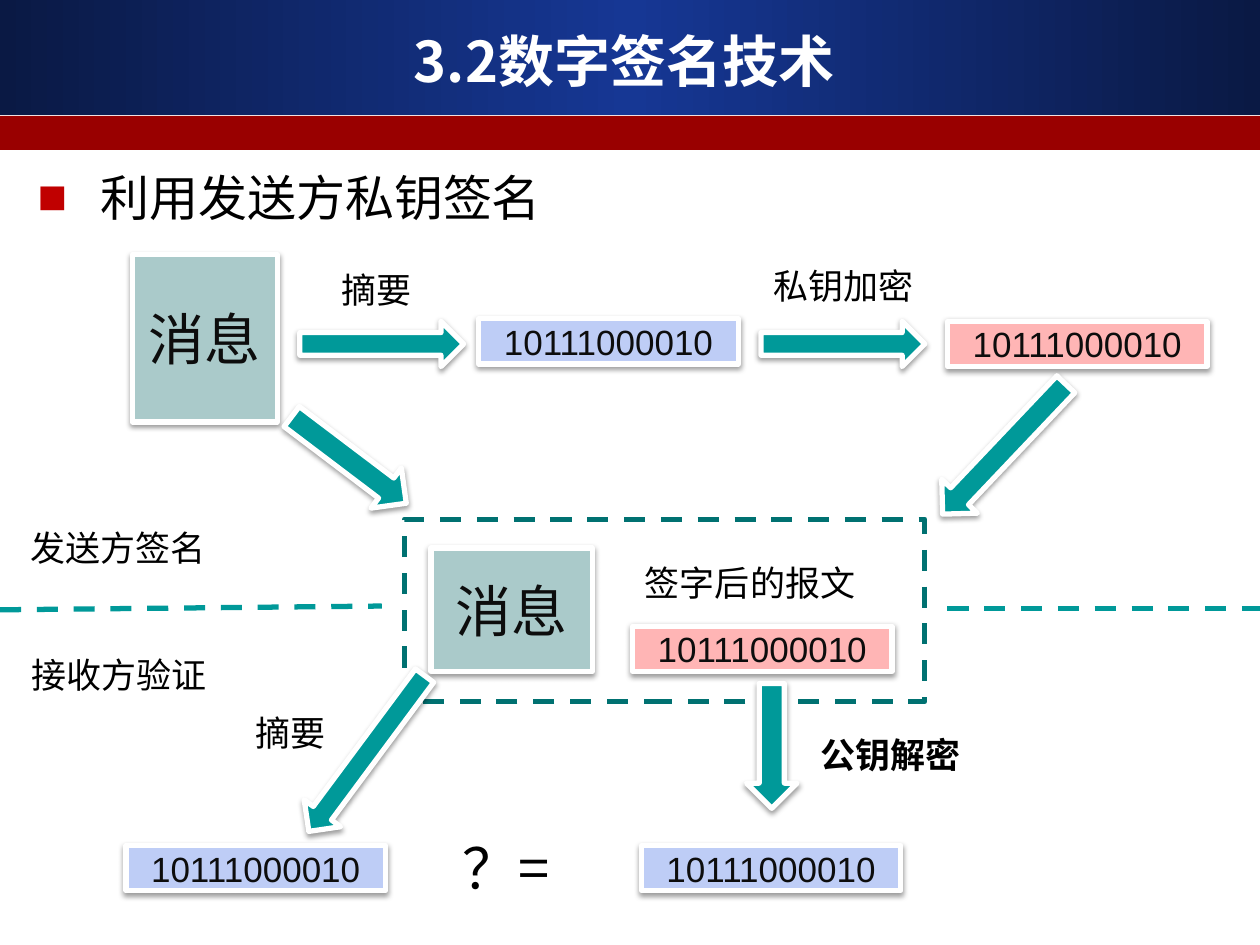
import copy
import pptx
import pptx.util
import pptx.dml.color
import pptx.enum.dml
import pptx.enum.shapes
import pptx.enum.text
import pptx.oxml
import pptx.oxml.ns

SHAPE = pptx.enum.shapes.MSO_SHAPE
ANCHOR = pptx.enum.text.MSO_ANCHOR
ALIGN = pptx.enum.text.PP_ALIGN
NS = pptx.oxml.ns.nsdecls("a")
HAN = "Noto Sans CJK SC"
CODE = "10111000010"

# Colours
TEAL, DEEP, PALE = "009999", "007171", "AACACA"
BLUE, PINK, WHITE = "BECDF6", "FFB5B5", "FFFFFF"

# Grid: 100 columns by 75 rows of square cells
WIDE, HIGH = 10, 7.5
COLS = 100
BAR_W, BAR_H = 20.6, 3.6


def cell(num):
    return pptx.util.Inches(num * WIDE / COLS)


def tint(code):
    return pptx.dml.color.RGBColor.from_string(code)


def write(shape, text, size=20, font=HAN, color="000000", bold=False,
          align=ALIGN.LEFT, anchor=ANCHOR.TOP, mark=None):
    frame = shape.text_frame
    frame.word_wrap = True
    frame.vertical_anchor = anchor
    para = frame.paragraphs[0]
    para.alignment = align
    if mark:
        props = para._p.get_or_add_pPr()
        indent = pptx.util.Inches(0.5)
        props.set("marL", str(indent))
        props.set("indent", str(-indent))
        for item in (f'<a:buClr {NS}><a:srgbClr val="{mark}"/></a:buClr>',
                     f'<a:buFont {NS} typeface="Arial"/>',
                     f'<a:buChar {NS} char="■"/>'):
            props.append(pptx.oxml.parse_xml(item))
    run = para.add_run()
    run.text = text
    run.font.size = pptx.util.Pt(size)
    run.font.name = font
    run.font.bold = bold
    run.font.color.rgb = tint(color)
    run.font._element.find(pptx.oxml.ns.qn("a:latin")).addnext(
        pptx.oxml.parse_xml(f'<a:ea {NS} typeface="{HAN}"/>'))


def label(slide, text, left, top, width, height=4.4, **style):
    box = slide.shapes.add_textbox(
        cell(left), cell(top), cell(width), cell(height))
    write(box, text, **style)
    box.text_frame.auto_size = pptx.enum.text.MSO_AUTO_SIZE.SHAPE_TO_FIT_TEXT


def stroke(line, color, dash=False):
    line.color.rgb = tint(color)
    line.width = pptx.util.Pt(3)
    if dash:
        line.dash_style = pptx.enum.dml.MSO_LINE.DASH


def block(slide, kind, left, top, width, height, fill=None):
    shape = slide.shapes.add_shape(
        kind, cell(left), cell(top), cell(width), cell(height))
    shape.shadow.inherit = False
    if fill:
        shape.fill.solid()
        shape.fill.fore_color.rgb = tint(fill)
    else:
        shape.fill.background()
    shape.line.fill.background()
    return shape


def card(slide, kind, left, top, width, height, fill):
    """Block with a white rim and a soft shadow."""
    shape = block(slide, kind, left, top, width, height, fill)
    stroke(shape.line, WHITE)
    blur, dist = pptx.util.Pt(3.1), pptx.util.Pt(1.6)
    shape._element.spPr.find(pptx.oxml.ns.qn("a:effectLst")).append(
        pptx.oxml.parse_xml(
            f'<a:outerShdw {NS} blurRad="{blur}" dist="{dist}" dir="5400000"'
            ' rotWithShape="0"><a:srgbClr val="000000">'
            '<a:alpha val="38000"/></a:srgbClr></a:outerShdw>'))
    return shape


def note(slide, text, left, top, width, height, fill, size=20):
    shape = card(slide, SHAPE.RECTANGLE, left, top, width, height, fill)
    write(shape, text, size=size, font="Arial", color="0D0D0D",
          align=ALIGN.CENTER, anchor=ANCHOR.MIDDLE)


def arrow(slide, left, top, width, height=BAR_H, turn=0):
    shape = card(slide, SHAPE.RIGHT_ARROW, left, top, width, height, TEAL)
    shape.rotation = turn


def divide(slide, x1, y1, x2, y2):
    line = slide.shapes.add_connector(
        pptx.enum.shapes.MSO_CONNECTOR.STRAIGHT,
        cell(x1), cell(y1), cell(x2), cell(y2))
    stroke(line.line, TEAL, dash=True)
    line._element.spPr.append(pptx.oxml.parse_xml(f"<a:effectLst {NS}/>"))


def header(slide):
    band = block(slide, SHAPE.RECTANGLE, 0, 0, COLS, 9.1)
    band.fill.gradient()
    band.fill.gradient_angle = 0
    stops = band.fill._xPr.find(".//" + pptx.oxml.ns.qn("a:gsLst"))
    stops.insert(1, copy.deepcopy(stops[0]))
    shades = ("0A1944", "163794", "0A1944")
    for stop, pos, shade in zip(band.fill.gradient_stops, (0, 0.5, 1), shades):
        stop.position = pos
        stop.color.rgb = tint(shade)
    block(slide, SHAPE.RECTANGLE, 0, 9.2, COLS, 2.7, "990000")
    label(slide, "3.2数字签名技术", 3.3, 1.7, 92.5, 6.2, size=32, color=WHITE,
          bold=True, align=ALIGN.CENTER, anchor=ANCHOR.MIDDLE)
    label(slide, "利用发送方私钥签名", 2, 12.8, 43.3, 5.7, size=28, mark="C00000")


def main():
    deck = pptx.Presentation()
    deck.slide_width = pptx.util.Inches(WIDE)
    deck.slide_height = pptx.util.Inches(HIGH)
    slide = deck.slides.add_slide(deck.slide_layouts[6])
    header(slide)

    # Frame of the signed message
    frame = block(slide, SHAPE.RECTANGLE, 32.1, 41.2, 41.3, 14.5)
    stroke(frame.line, DEEP, dash=True)

    # Message and its digests
    note(slide, "消息", 10.5, 20.2, 11.5, 13.3, PALE, size=32)
    note(slide, "消息", 34.2, 43.5, 12.8, 9.8, PALE, size=32)
    for left, top, fill in ((38, 25.3, BLUE), (75.2, 25.5, PINK),
                            (50.2, 49.7, PINK), (10, 67.1, BLUE),
                            (50.9, 67.1, BLUE)):
        note(slide, CODE, left, top, BAR_W, BAR_H, fill)

    # Steps from sender to receiver
    for left in (23.8, 60.4):
        arrow(slide, left, 25.5, 13)
    arrow(slide, 22, 34.5, 11.4, 4, turn=37.1)
    arrow(slide, 72.6, 33.7, 14.2, 3.9, turn=133.5)
    arrow(slide, 21.4, 58, 15.4, turn=126.6)
    arrow(slide, 56.3, 57.2, 9.9, 4, turn=90)

    # Labels
    for text, left, top, width in (
            ("摘要", 26.1, 20.8, 9.1), ("私钥加密", 60.4, 20.5, 16.5),
            ("签字后的报文", 50.2, 44.1, 20.6), ("摘要", 19.3, 56, 9.1),
            ("发送方签名", 1.4, 41.3, 18.9), ("接收方验证", 1.5, 51.4, 18.9)):
        label(slide, text, left, top, width)
    label(slide, "公钥解密", 64.1, 57.7, 18.9, bold=True)
    label(slide, "？=", 35.7, 65.7, 12.1, 6.4, size=32)

    # Border between the two sides
    divide(slide, 0, 48.4, 30.3, 48.1)
    divide(slide, 75.2, 48.3, COLS, 48.3)

    deck.save("out.pptx")


if __name__ == "__main__":
    main()
